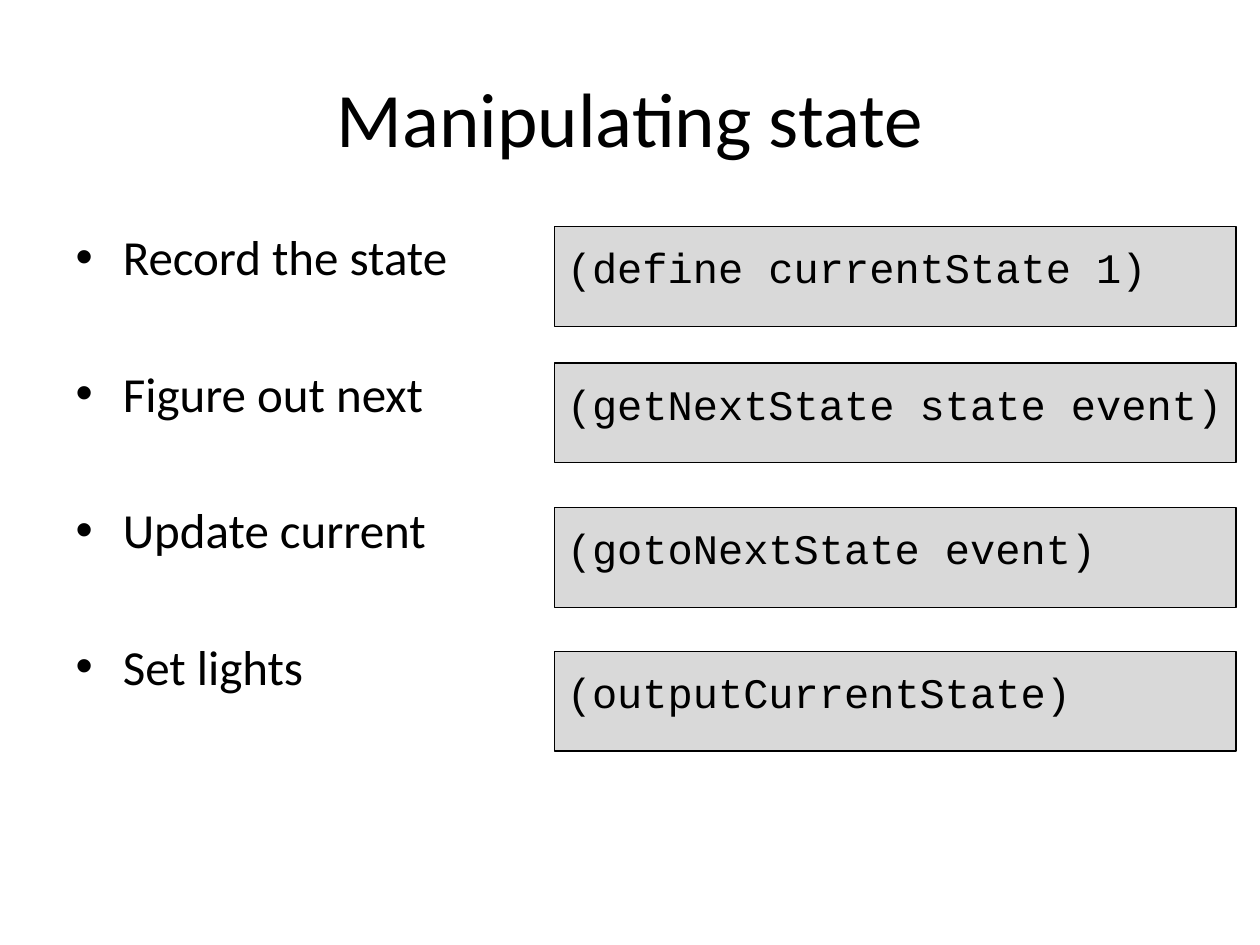
from dataclasses import dataclass

from pptx import Presentation
from pptx.dml.color import RGBColor
from pptx.enum.shapes import MSO_SHAPE
from pptx.enum.text import MSO_ANCHOR, MSO_AUTO_SIZE, PP_ALIGN
from pptx.util import Inches, Pt

RECTANGLE = MSO_SHAPE.RECTANGLE
TOP, MIDDLE = MSO_ANCHOR.TOP, MSO_ANCHOR.MIDDLE
LEFT, CENTER = PP_ALIGN.LEFT, PP_ALIGN.CENTER
NO_AUTOFIT = MSO_AUTO_SIZE.NONE


@dataclass(frozen=True)
class Theme:
    text: RGBColor = RGBColor(0x00, 0x00, 0x00)
    code_fill: RGBColor = RGBColor(0xD9, 0xD9, 0xD9)
    font: str = "Calibri"
    code_font: str = "Courier New"
    title_size: int = 44
    body_size: int = 28
    code_size: int = 24


@dataclass(frozen=True)
class Step:
    label: str
    code: str
    code_top: float


THEME = Theme()
STEPS = [
    Step("Record the state", "(define currentState 1)", 1.8),
    Step("Figure out next", "(getNextState state event)", 2.88),
    Step("Update current", "(gotoNextState event)", 4.03),
    Step("Set lights", "(outputCurrentState)", 5.17),
]
STEP_GAP = Pt(44.4)


def place(shape, left: float, top: float, width: float, height: float) -> None:
    shape.left, shape.top = Inches(left), Inches(top)
    shape.width, shape.height = Inches(width), Inches(height)


def style(p, font: str, size: int) -> None:
    p.font.name = font
    p.font.size = Pt(size)
    p.font.color.rgb = THEME.text


def add_title(slide, text: str) -> None:
    title = slide.shapes.title
    place(title, 0.5, 0.3, 9, 1.25)
    tf = title.text_frame
    tf.text = text
    tf.auto_size = NO_AUTOFIT
    tf.vertical_anchor = MIDDLE
    p = tf.paragraphs[0]
    p.alignment = CENTER
    style(p, THEME.font, THEME.title_size)


def add_steps(slide, steps: list[Step]) -> None:
    body = slide.placeholders[1]
    place(body, 0.5, 1.75, 4.42, 4.95)
    tf = body.text_frame
    tf.text = "\n".join(step.label for step in steps)
    tf.auto_size = NO_AUTOFIT
    for i, p in enumerate(tf.paragraphs):
        p.space_before = STEP_GAP if i else Pt(0)
        style(p, THEME.font, THEME.body_size)


def add_code_box(slide, step: Step) -> None:
    box = slide.shapes.add_shape(RECTANGLE, Inches(4.4), Inches(step.code_top),
                                 Inches(5.41), Inches(0.79))
    box.shadow.inherit = False
    box.fill.solid()
    box.fill.fore_color.rgb = THEME.code_fill
    box.line.color.rgb = THEME.text
    box.line.width = Pt(0.75)
    tf = box.text_frame
    tf.word_wrap = True
    tf.vertical_anchor = TOP
    tf.margin_top = Inches(0.12)
    p = tf.paragraphs[0]
    p.text = step.code
    p.alignment = LEFT
    style(p, THEME.code_font, THEME.code_size)


def main() -> None:
    prs = Presentation()
    prs.slide_width, prs.slide_height = Inches(10), Inches(7.5)
    slide = prs.slides.add_slide(prs.slide_layouts[1])

    # Title and list of steps
    add_title(slide, "Manipulating state")
    add_steps(slide, STEPS)

    # Code for each step
    for step in STEPS:
        add_code_box(slide, step)

    prs.save("out.pptx")


if __name__ == "__main__":
    main()
